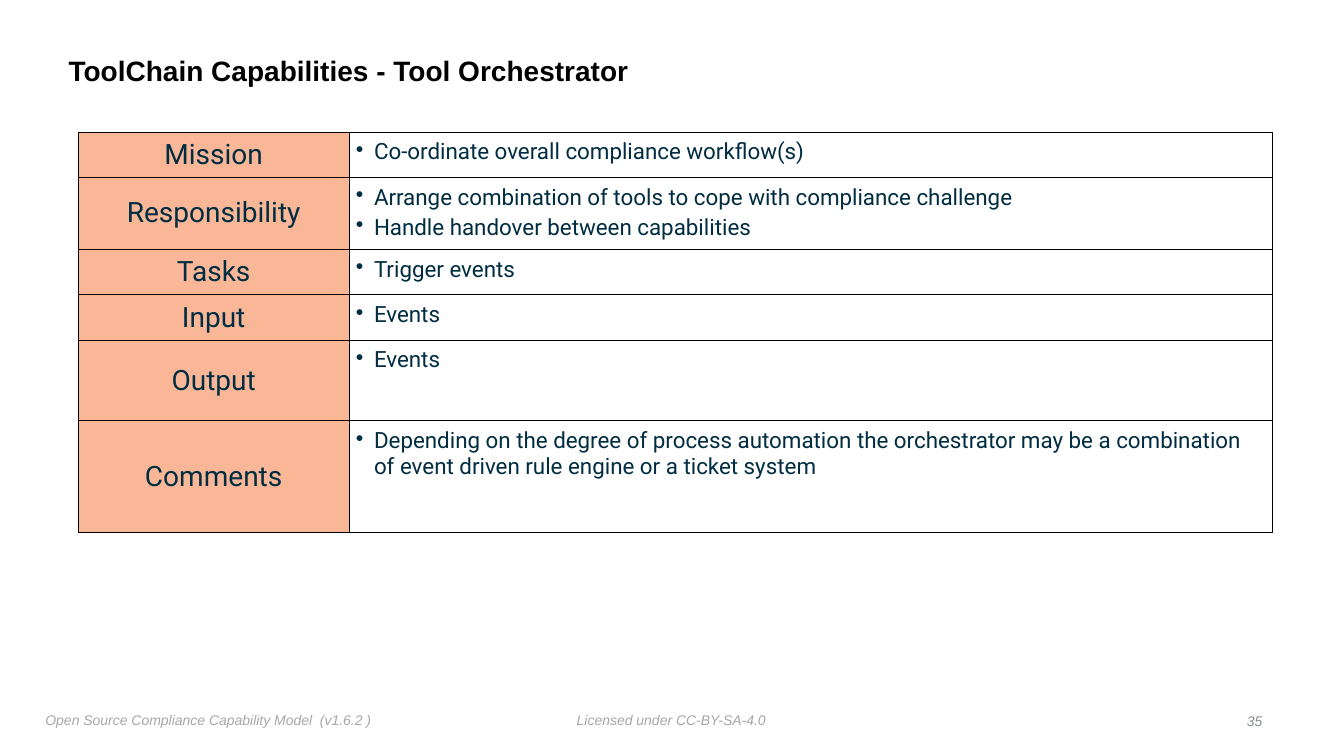
import pptx
import pptx.dml.color
import pptx.enum.text
import pptx.oxml
import pptx.oxml.ns
import pptx.util

Inches = pptx.util.Inches
Pt = pptx.util.Pt
ALIGN = pptx.enum.text.PP_ALIGN
ANCHOR = pptx.enum.text.MSO_ANCHOR

CAPABILITY = [
    ("Mission", 0.45, ["Co-ordinate overall compliance workflow(s)"]),
    ("Responsibility", 0.69, [
        "Arrange combination of tools to cope with compliance challenge",
        "Handle handover between capabilities",
    ]),
    ("Tasks", 0.45, ["Trigger events"]),
    ("Input", 0.45, ["Events"]),
    ("Output", 0.8, ["Events"]),
    ("Comments", 1.11, [
        "Depending on the degree of process automation the orchestrator may be "
        "a combination of event driven rule engine or a ticket system",
    ]),
]


def rgb(color):
    return pptx.dml.color.RGBColor.from_string(color)


def add_run(p, text, size, font, color, bold=False, italic=False):
    r = p.add_run()
    r.text = text
    r.font.size = Pt(size)
    r.font.name = font
    r.font.color.rgb = rgb(color)
    r.font.bold = bold
    r.font.italic = italic


def set_margins(box, inset):
    box.margin_left = box.margin_right = Inches(inset)
    box.margin_top = box.margin_bottom = Inches(inset)


def add_text_box(s, left, top, width, height, wrap=False, anchor=ANCHOR.TOP):
    """Add an empty text box and return its first paragraph."""
    sp = s.shapes.add_textbox(Inches(left), Inches(top), Inches(width), Inches(height))
    tf = sp.text_frame
    tf.word_wrap = wrap
    tf.vertical_anchor = anchor
    set_margins(tf, 0.05)
    return tf.paragraphs[0]


def add_title(s, text, left, top, width, height):
    p = add_text_box(s, left, top, width, height, wrap=True, anchor=ANCHOR.MIDDLE)
    p.line_spacing = 0.9
    add_run(p, text, 20, "Arial", "000000", bold=True)


def add_footer(s, left, top, width, height):
    p = add_text_box(s, left, top, 3.41, height)
    add_run(p, "Open Source Compliance Capability Model  (v1.6.2 )", 10, "Arial",
            "A7A7A7", italic=True)
    p = add_text_box(s, left + 5.27, top, 1.99, height)
    add_run(p, "Licensed under CC-BY-SA-4.0", 10, "Arial", "A7A7A7", italic=True)
    p = add_text_box(s, left + width - 0.27, top + 0.02, 0.27, height,
                     anchor=ANCHOR.MIDDLE)
    p.alignment = ALIGN.RIGHT
    add_run(p, "35", 10, "Arial", "888C91", italic=True)


def set_borders(cell, color="000000", width=0.5):
    tc_pr = cell._tc.get_or_add_tcPr()
    for side in ("lnL", "lnR", "lnT", "lnB"):
        tc_pr.append(pptx.oxml.parse_xml(
            f'<a:{side} {pptx.oxml.ns.nsdecls("a")} w="{Pt(width)}">'
            f'<a:solidFill><a:srgbClr val="{color}"/></a:solidFill></a:{side}>'))


def set_bullet(p, indent=0.18):
    p_pr = p._p.get_or_add_pPr()
    p_pr.set("marL", str(Inches(indent)))
    p_pr.set("indent", str(-Inches(indent)))
    p_pr.append(pptx.oxml.parse_xml(
        f'<a:buChar {pptx.oxml.ns.nsdecls("a")} char="•"/>'))


def fill_label(cell, label):
    set_borders(cell)
    cell.fill.solid()
    cell.fill.fore_color.rgb = rgb("FAB798")
    cell.vertical_anchor = ANCHOR.MIDDLE
    set_margins(cell, 0)
    p = cell.text_frame.paragraphs[0]
    p.alignment = ALIGN.CENTER
    add_run(p, label, 20, "Roboto", "002D41")


def fill_details(cell, items):
    set_borders(cell)
    cell.fill.background()
    set_margins(cell, 0.07)
    tf = cell.text_frame
    for i, item in enumerate(items):
        p = tf.add_paragraph() if i else tf.paragraphs[0]
        set_bullet(p)
        if i:
            p.space_before = Pt(3)
        add_run(p, item, 16, "Roboto", "002D41")


def add_capability_table(s, left, top, width, label_width=2.68):
    height = sum(row_height for _, row_height, _ in CAPABILITY)
    table = s.shapes.add_table(len(CAPABILITY), 2, Inches(left), Inches(top),
                               Inches(width), Inches(height)).table
    table.first_row = False
    table.horz_banding = False
    table.columns[0].width = Inches(label_width)
    table.columns[1].width = Inches(width - label_width)
    for i, (label, row_height, items) in enumerate(CAPABILITY):
        table.rows[i].height = Inches(row_height)
        fill_label(table.cell(i, 0), label)
        fill_details(table.cell(i, 1), items)


def main():
    prs = pptx.Presentation()
    prs.slide_width = Inches(13.33)
    prs.slide_height = Inches(7.5)
    s = prs.slides.add_slide(prs.slide_layouts[6])
    add_title(s, "ToolChain Capabilities - Tool Orchestrator", 0.63, 0.39, 10.75, 0.65)
    add_capability_table(s, 0.78, 1.31, 11.84)
    add_footer(s, 0.4, 7.01, 12.17, 0.25)
    prs.save("out.pptx")


if __name__ == "__main__":
    main()
